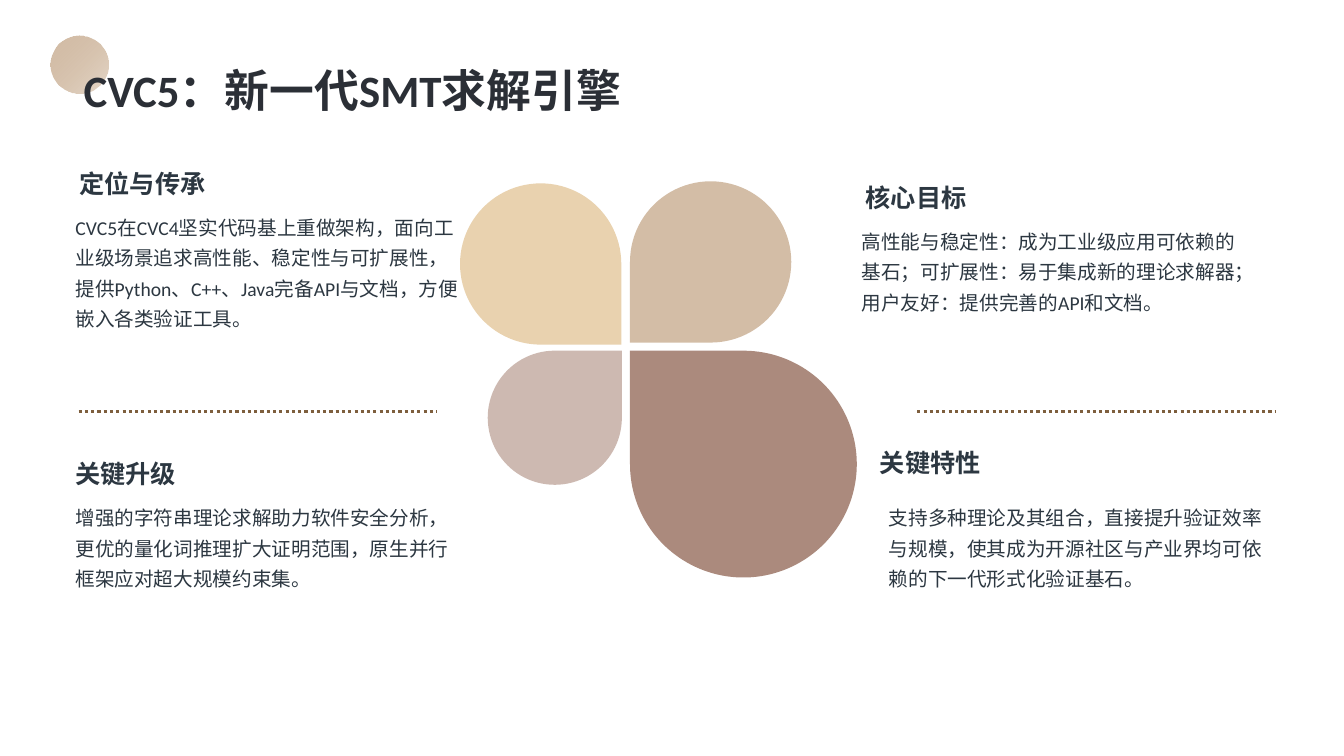
from pptx import Presentation
from pptx import util as u
from pptx.dml.color import RGBColor
from pptx.enum import dml, shapes, text
from pptx.oxml.ns import qn
from lxml import etree

Pt = u.Pt
FONT = "Calibri"
TITLE_INK = RGBColor(0x2B, 0x2F, 0x36)
INK = RGBColor(0x2C, 0x37, 0x41)
DOTS = RGBColor(0x7E, 0x5F, 0x3E)
BRONZE = RGBColor(0xB4, 0x8E, 0x67)
SAND = RGBColor(0xD3, 0xBD, 0xA6)
CLAY = RGBColor(0xAB, 0x8A, 0x7D)
ROSE = RGBColor(0xCD, 0xB9, 0xB1)
WHEAT = RGBColor(0xE9, 0xD2, 0xAF)

# Petals: left, top, size, rotation, colour
PETALS = [
    (450, 250.5, 162, 270, CLAY),
    (450, 129.5, 115.2, 180, SAND),
    (348.4, 250.5, 95.8, 0, ROSE),
    (328.6, 131, 115.2, 90, WHEAT),
]

# Sections: heading, its left and top, body, its left, top and height
SECTIONS = [
    ("定位与传承", 49.7, 116.6,
     "CVC5在CVC4坚实代码基上重做架构，面向工业级场景追求高性能、稳定性与可扩展性，"
     "提供Python、C++、Java完备API与文档，方便嵌入各类验证工具。", 46.8, 145.4, 93.6),
    ("关键升级", 46.8, 324,
     "增强的字符串理论求解助力软件安全分析，更优的量化词推理扩大证明范围，"
     "原生并行框架应对超大规模约束集。", 46.8, 352.8, 71.3),
    ("核心目标", 611.3, 126.7,
     "高性能与稳定性：成为工业级应用可依赖的基石；可扩展性：易于集成新的理论求解器；"
     "用户友好：提供完善的API和文档。", 608.4, 155.5, 71.3),
    ("关键特性", 621.4, 316.1,
     "支持多种理论及其组合，直接提升验证效率与规模，使其成为开源社区与产业界均可依赖的"
     "下一代形式化验证基石。", 627.8, 352.8, 71.3),
]
COLUMN_WIDTH = 288


def write(shape, words, size, color, bold=False, spacing=None):
    frame = shape.text_frame
    frame.word_wrap = True
    frame.auto_size = text.MSO_AUTO_SIZE.SHAPE_TO_FIT_TEXT
    frame.vertical_anchor = text.MSO_ANCHOR.TOP
    paragraph = frame.paragraphs[0]
    paragraph.alignment = text.PP_ALIGN.LEFT
    if spacing:
        paragraph.line_spacing = spacing
    run = paragraph.add_run()
    run.text = words
    run.font.name = FONT
    run.font.size = Pt(size)
    run.font.bold = bold
    run.font.color.rgb = color


def add_text(slide, words, left, top, height, size, **style):
    box = slide.shapes.add_textbox(Pt(left), Pt(top), Pt(COLUMN_WIDTH), Pt(height))
    write(box, words, size, INK, **style)


def add_plain_shape(slide, kind, left, top, size):
    shape = slide.shapes.add_shape(kind, Pt(left), Pt(top), Pt(size), Pt(size))
    shape.shadow.inherit = False
    shape.line.fill.background()
    return shape


def add_petal(slide, left, top, size, rotation, color):
    petal = add_plain_shape(slide, shapes.MSO_SHAPE.TEAR, left, top, size)
    petal.rotation = rotation
    petal.fill.solid()
    petal.fill.fore_color.rgb = color


def add_fading_circle(slide, left, top, size):
    circle = add_plain_shape(slide, shapes.MSO_SHAPE.OVAL, left, top, size)
    circle.fill.gradient()
    circle.fill.gradient_angle = 315
    for stop, color in zip(circle.fill.gradient_stops, (SAND, BRONZE)):
        stop.color.rgb = color
    # The far end is mostly transparent
    end_color = circle._element.spPr.findall(".//" + qn("a:srgbClr"))[-1]
    etree.SubElement(end_color, qn("a:alpha")).set("val", "33000")


def add_dotted_line(slide, left, top, width):
    line = slide.shapes.add_connector(
        shapes.MSO_CONNECTOR.STRAIGHT, Pt(left), Pt(top), Pt(left + width), Pt(top))
    line.line.color.rgb = DOTS
    line.line.width = Pt(2.25)
    line.line.dash_style = dml.MSO_LINE.ROUND_DOT
    etree.SubElement(line._element.spPr, qn("a:effectLst"))


def place_title(slide, words):
    title = slide.shapes.title
    title.left, title.top, title.width, title.height = Pt(52.6), Pt(41), Pt(494), Pt(46)
    write(title, words, 32, TITLE_INK, bold=True)
    # Bring the title in front of the circle
    slide.shapes._spTree.append(title._element)


def main():
    presentation = Presentation()
    presentation.slide_width, presentation.slide_height = Pt(960), Pt(540)
    slide = presentation.slides.add_slide(presentation.slide_layouts[5])

    # Title with its circle
    add_fading_circle(slide, 36, 25.2, 41.8)
    place_title(slide, "CVC5：新一代SMT求解引擎")

    # Central flower
    for petal in PETALS:
        add_petal(slide, *petal)

    # Dividers
    for left in (56.2, 655.2):
        add_dotted_line(slide, left, 293.8, 255.6)

    # Four sections
    for heading, head_left, head_top, body, left, top, height in SECTIONS:
        add_text(slide, heading, head_left, head_top, 28.8, 18, bold=True)
        add_text(slide, body, left, top, height, 14, spacing=1.3)

    presentation.save("out.pptx")


if __name__ == "__main__":
    main()
